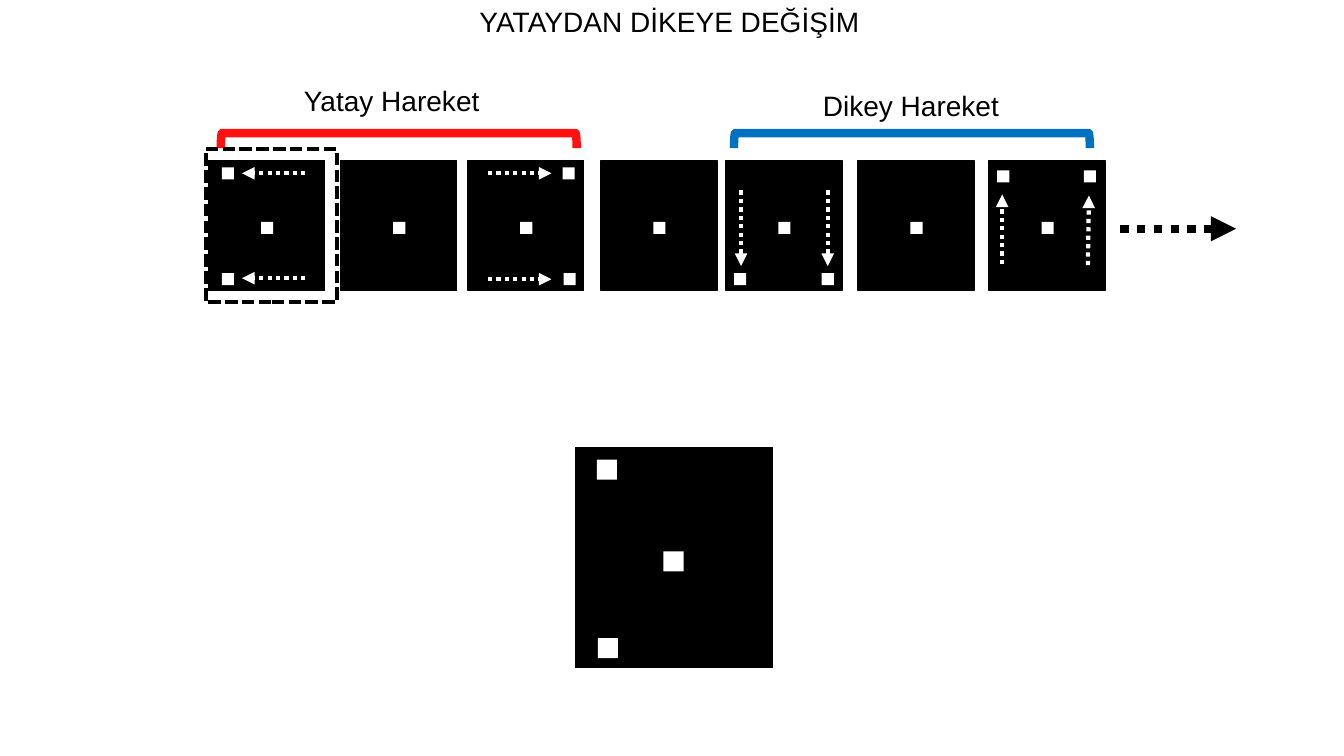
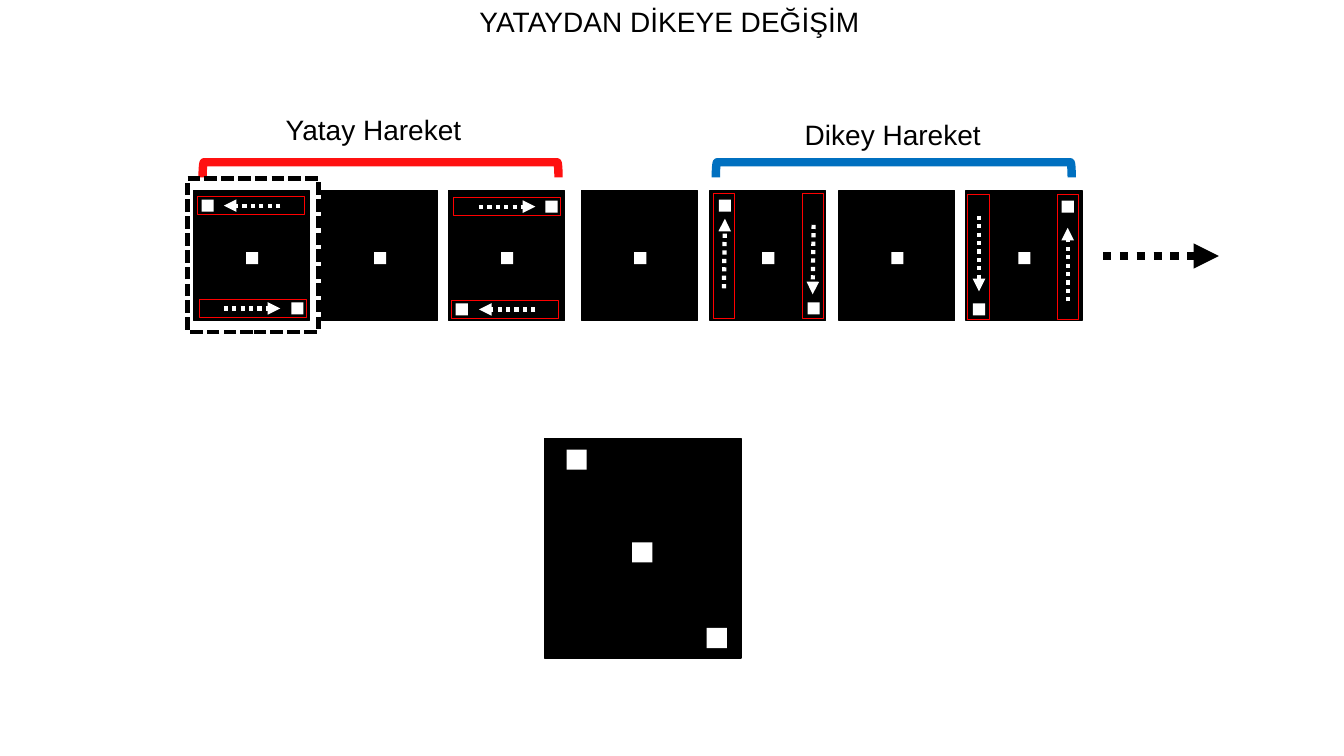
from lxml.etree import SubElement
from pptx import Presentation
from pptx.dml.color import RGBColor
from pptx.enum.dml import MSO_LINE
from pptx.enum.shapes import MSO_CONNECTOR, MSO_SHAPE
from pptx.enum.text import MSO_ANCHOR, PP_ALIGN
from pptx.oxml.ns import qn
from pptx.util import Pt

PX = 9144  # 100 px to the inch
FONT = "Arial"
COLORS = {"black": "000000", "white": "FFFFFF", "horizontal": "FF1111",
          "vertical": "0070C0", "track": "FF0000"}

PANEL = (115, 129)
LARGE_PANEL = (195, 218)
DOT, LARGE_DOT = 12, 20
ROW, COLUMN = (106, 18), (21, 124)  # sizes of the red track outlines
CENTRE, LARGE_CENTRE = (52, 61), (87, 103)


def write(shapes, text, left, top, width, height, size=20, color="black"):
    box = shapes.add_textbox(left * PX, top * PX, width * PX, height * PX)
    frame = box.text_frame
    frame.word_wrap = True
    frame.vertical_anchor = MSO_ANCHOR.MIDDLE
    para = frame.paragraphs[0]
    para.alignment = PP_ALIGN.CENTER
    span = para.add_run()
    span.text = text
    span.font.name = FONT
    span.font.size = Pt(size)
    span.font.color.rgb = RGBColor.from_string(COLORS[color])


def draw(shapes, left, top, width, height, kind=MSO_SHAPE.RECTANGLE,
         fill=None, line=None, weight=1):
    """Add a preset shape; without fill or line that part stays empty."""
    shape = shapes.add_shape(kind, left * PX, top * PX, width * PX, height * PX)
    shape.shadow.inherit = False
    for part, color in ((shape.fill, fill), (shape.line.fill, line)):
        if color:
            part.solid()
            part.fore_color.rgb = RGBColor.from_string(COLORS[color])
        else:
            part.background()
    if line:
        shape.line.width = Pt(weight)
    return shape


# Dots, arrows and tracks are measured from the top left corner of their panel.
PAGES = [
    {
        "shift": (0, 0),
        "panel_top": 159,
        "panels": [
            {"left": 207, "dots": [(13, 7), (13, 112)],
             "arrows": [(96, 13, 33, 13), (96, 117, 33, 117)]},
            {"left": 338},
            {"left": 464, "dots": [(94, 7), (95, 112)],
             "arrows": [(20, 13, 83, 13), (20, 118, 83, 118)]},
            {"left": 596},
            {"left": 720, "dots": [(8, 112), (95, 112)],
             "arrows": [(15, 30, 15, 105), (101, 30, 101, 105)]},
            {"left": 851},
            {"left": 981, "dots": [(8, 10), (94, 10)],
             "arrows": [(13, 103, 13, 34), (98, 104, 99, 35)]},
        ],
        "large": {"left": 571, "top": 444, "dots": [(21, 12), (22, 189)]},
        "time_arrow": (1111, 227, 1226, 227),
    },
    {
        "shift": (-18, 29),
        "panel_top": 189,
        "panels": [
            {"left": 192, "dots": [(8, 9), (97, 111)],
             "arrows": [(86, 15, 30, 15), (30, 117, 86, 117)],
             "tracks": [(4, 6, *ROW), (6, 108, *ROW)]},
            {"left": 319},
            {"left": 445, "dots": [(96, 10), (7, 112)],
             "arrows": [(30, 16, 86, 16), (86, 118, 30, 118)],
             "tracks": [(5, 7, *ROW), (3, 109, *ROW)]},
            {"left": 577},
            {"left": 704, "dots": [(9, 9), (97, 111)],
             "arrows": [(14, 97, 15, 28), (103, 34, 102, 103)],
             "tracks": [(4, 3, *COLUMN), (92, 3, *COLUMN)]},
            {"left": 832},
            {"left": 958, "dots": [(7, 112), (95, 10)],
             "arrows": [(13, 25, 13, 100), (101, 110, 101, 37)],
             "tracks": [(2, 4, *COLUMN), (91, 4, *COLUMN)]},
        ],
        "large": {"left": 540, "top": 435, "dots": [(22, 11), (161, 188)]},
        "time_arrow": (1094, 254, 1209, 254),
    },
]
# Label text, label left and top, bracket left, bracket colour
PHASES = [("Yatay Hareket", 266, 82, 388, "horizontal"),
          ("Dikey Hareket", 781, 87, 897, "vertical")]

deck = Presentation()
deck.slide_width = 1333 * PX
deck.slide_height = 750 * PX

for content in PAGES:
    page = deck.slides.add_slide(deck.slide_layouts[6])
    shift_x, shift_y = content["shift"]
    write(page.shapes, "YATAYDAN DİKEYE DEĞİŞİM", 436, 0, 456, 43)

    for label, label_left, label_top, bracket_left, color in PHASES:
        write(page.shapes, label, label_left + shift_x, label_top + shift_y, 245, 35)
        bracket = draw(page.shapes, bracket_left + shift_x, -37 + shift_y, 15, 353,
                       kind=MSO_SHAPE.RIGHT_BRACKET, line=color, weight=6)
        bracket.rotation = 270

    arrows = [(page.shapes, content["time_arrow"], "black", 6)]
    panels = [(panel, content["panel_top"], PANEL, DOT, CENTRE)
              for panel in content["panels"]]
    large = content["large"]
    panels.append((large, large["top"], LARGE_PANEL, LARGE_DOT, LARGE_CENTRE))

    for panel, top, size, dot, centre in panels:
        left = panel["left"]
        group = page.shapes.add_group_shape().shapes
        draw(group, left, top, *size, fill="black", line="black")
        for x, y in [centre, *panel.get("dots", [])]:
            draw(group, left + x, top + y, dot, dot, fill="white")
        for x, y, width, height in panel.get("tracks", []):
            draw(group, left + x, top + y, width, height, line="track", weight=0.75)
        for x1, y1, x2, y2 in panel.get("arrows", []):
            ends = (left + x1, top + y1, left + x2, top + y2)
            arrows.append((group, ends, "white", 3))

    for shapes, ends, color, weight in arrows:
        arrow = shapes.add_connector(MSO_CONNECTOR.STRAIGHT, *(end * PX for end in ends))
        arrow.line.color.rgb = RGBColor.from_string(COLORS[color])
        arrow.line.width = Pt(weight)
        arrow.line.dash_style = MSO_LINE.ROUND_DOT
        SubElement(arrow.line._get_or_add_ln(), qn("a:tailEnd"), type="triangle")
        SubElement(arrow._element.spPr, qn("a:effectLst"))

    focus = draw(page.shapes, 204 + shift_x, 148 + shift_y, 130, 152,
                 line="black", weight=3)
    focus.line.dash_style = MSO_LINE.SQUARE_DOT

deck.save("out.pptx")
